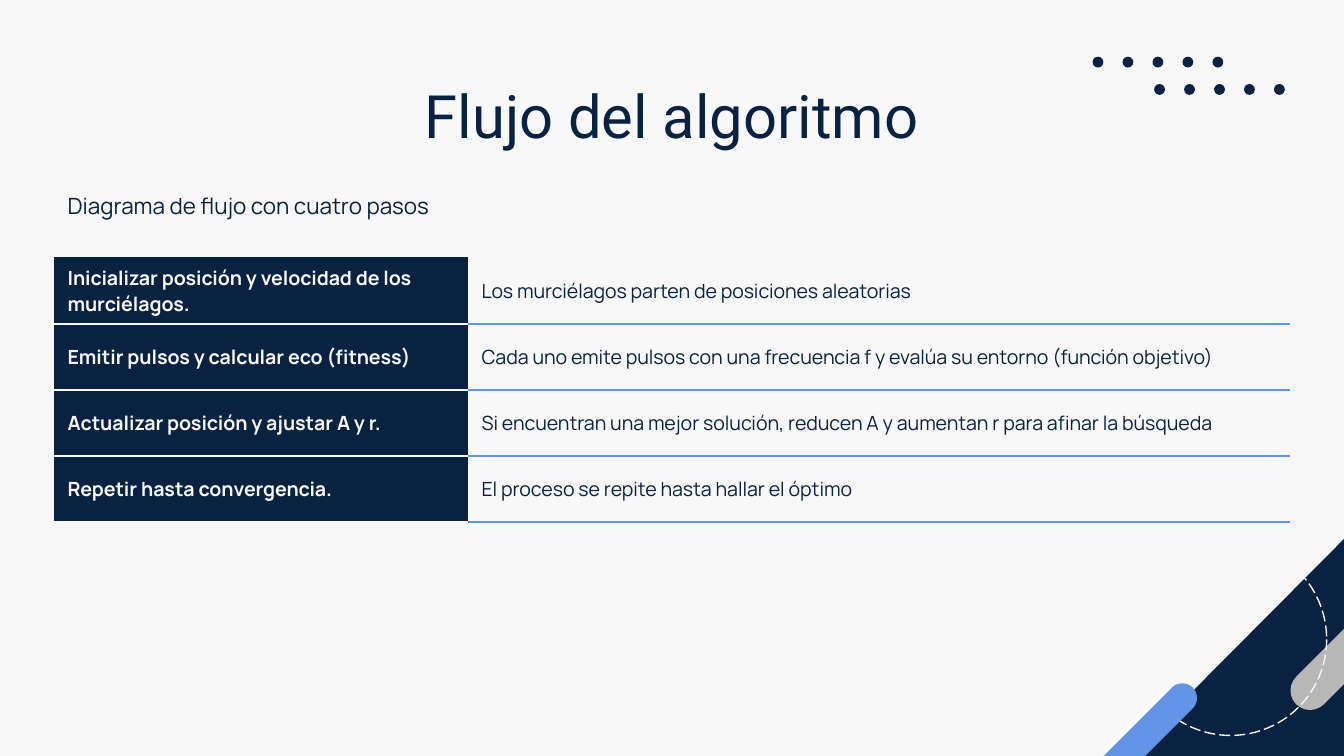
import lxml.etree
import pptx
import pptx.dml.color
import pptx.enum.dml
import pptx.enum.shapes
import pptx.enum.text
import pptx.oxml.ns
import pptx.util

Pt = pptx.util.Pt
Shape = pptx.enum.shapes.MSO_SHAPE
Align = pptx.enum.text.PP_ALIGN
Anchor = pptx.enum.text.MSO_ANCHOR
qn = pptx.oxml.ns.qn

NAVY = pptx.dml.color.RGBColor(0x09, 0x22, 0x41)
BLUE = pptx.dml.color.RGBColor(0x61, 0x94, 0xE6)
GREY = pptx.dml.color.RGBColor(0xB7, 0xB7, 0xB7)
PALE = pptx.dml.color.RGBColor(0xF8, 0xF8, 0xF8)


def write_text(frame, text, size=10.5, font="Manrope", color=NAVY, bold=False,
               align=Align.LEFT):
    frame.word_wrap = True
    para = frame.paragraphs[0]
    para.alignment = align
    span = para.add_run()
    span.text = text
    span.font.size = Pt(size)
    span.font.name = font
    span.font.bold = bold
    span.font.color.rgb = color


def add_figure(kind, left, top, width, height, fill=None, rotation=0):
    figure = page.shapes.add_shape(kind, Pt(left), Pt(top), Pt(width), Pt(height))
    figure.shadow.inherit = False
    figure.rotation = rotation
    figure.line.fill.background()
    if fill is None:
        figure.fill.background()
    else:
        figure.fill.solid()
        figure.fill.fore_color.rgb = fill
    return figure


deck = pptx.Presentation()
deck.slide_width = Pt(720)
deck.slide_height = Pt(405)
page = deck.slides.add_slide(deck.slide_layouts[6])
page.background.fill.solid()
page.background.fill.fore_color.rgb = PALE

# Two staggered rows of dots
for row_left, row_top in ((618.3, 45), (585.3, 30.4)):
    for step in range(5):
        add_figure(Shape.OVAL, row_left + step * 16.05, row_top, 5.8, 5.8, NAVY)

# Corner ornament
add_figure(Shape.RIGHT_TRIANGLE, 602.6, 284.4, 122.4, 121.7, NAVY, 270)
grey_bar = add_figure(Shape.ROUNDED_RECTANGLE, 681.1, 334.8, 90.7, 20.9, GREY, 135)
ring = add_figure(Shape.OVAL, 607.7, 291, 103, 103, rotation=180)
ring.line.color.rgb = PALE
ring.line.width = Pt(0.75)
ring.line.dash_style = pptx.enum.dml.MSO_LINE.LONG_DASH
blue_bar = add_figure(Shape.ROUNDED_RECTANGLE, 565.2, 391, 86.4, 15.8, BLUE, 135)
for bar in (grey_bar, blue_bar):
    bar.adjustments[0] = 0.5

# Title and subtitle
for text, (left, top, width, height), style in (
    ("Flujo del algoritmo", (56.7, 35.3, 606.6, 45.4),
     {"size": 32, "font": "Roboto", "align": Align.CENTER}),
    ("Diagrama de flujo con cuatro pasos", (29.2, 95.8, 634.3, 28.8), {"size": 12}),
):
    box = page.shapes.add_textbox(Pt(left), Pt(top), Pt(width), Pt(height))
    frame = box.text_frame
    frame.margin_left = frame.margin_right = Pt(7.2)
    frame.margin_top = frame.margin_bottom = Pt(7.2)
    write_text(frame, text, **style)

# Table of steps
STEPS = (
    ("Inicializar posición y velocidad de los murciélagos.",
     "Los murciélagos parten de posiciones aleatorias"),
    ("Emitir pulsos y calcular eco (fitness)",
     "Cada uno emite pulsos con una frecuencia f y evalúa su entorno (función objetivo)"),
    ("Actualizar posición y ajustar A y r.",
     "Si encuentran una mejor solución, reducen A y aumentan r para afinar la búsqueda"),
    ("Repetir hasta convergencia.",
     "El proceso se repite hasta hallar el óptimo"),
)
ROW_HEIGHT = 35.4
table = page.shapes.add_table(len(STEPS), 2, Pt(29), Pt(138.2), Pt(662),
                              Pt(ROW_HEIGHT * len(STEPS))).table
table.first_row = False
table.horz_banding = False
table.columns[0].width = Pt(221.8)
table.columns[1].width = Pt(440.2)

for row, step in enumerate(STEPS):
    table.rows[row].height = Pt(ROW_HEIGHT)
    for column, text in enumerate(step):
        cell = table.cell(row, column)
        cell.vertical_anchor = Anchor.MIDDLE
        cell.margin_left = cell.margin_right = Pt(7.2)
        cell.margin_top = cell.margin_bottom = 0
        if column == 0:
            write_text(cell.text_frame, text, color=PALE, bold=True)
            first_top = NAVY
            borders = {"lnL": NAVY, "lnR": PALE, "lnT": PALE, "lnB": PALE}
        else:
            write_text(cell.text_frame, text)
            first_top = PALE
            borders = {"lnL": PALE, "lnR": PALE, "lnT": BLUE, "lnB": BLUE}
        if row == 0:
            borders["lnT"] = first_top

        # Borders come before the fill in the cell properties
        properties = cell._tc.get_or_add_tcPr()
        for side, color in borders.items():
            line = lxml.etree.SubElement(properties, qn("a:" + side), w=str(Pt(0.75)))
            solid = lxml.etree.SubElement(line, qn("a:solidFill"))
            lxml.etree.SubElement(solid, qn("a:srgbClr"), val=str(color))
        if column == 0:
            cell.fill.solid()
            cell.fill.fore_color.rgb = NAVY
        else:
            cell.fill.background()

deck.save("out.pptx")
